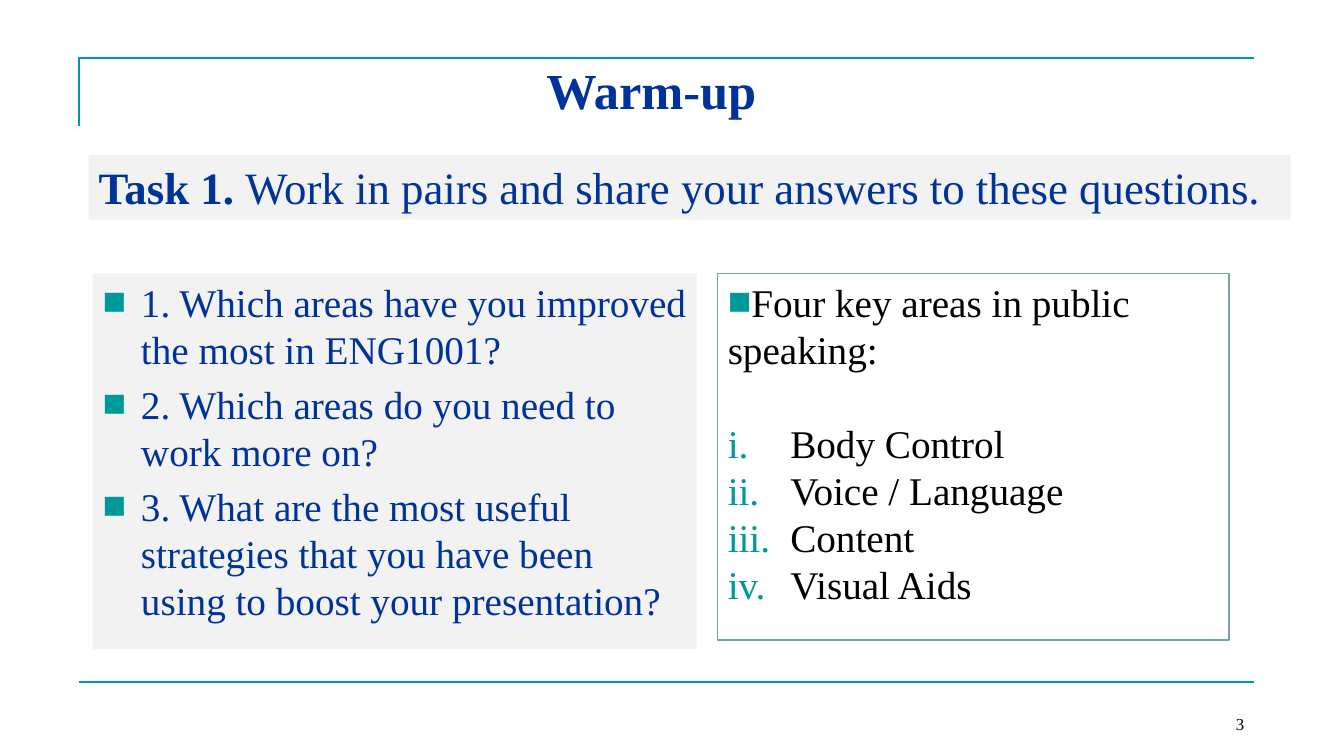
from dataclasses import dataclass
from typing import Optional

from lxml.etree import SubElement
from pptx import Presentation
from pptx.dml.color import RGBColor
from pptx.enum.shapes import MSO_CONNECTOR, MSO_SHAPE
from pptx.enum.text import MSO_ANCHOR, PP_ALIGN
from pptx.oxml.ns import qn
from pptx.util import Inches, Pt

TEAL = RGBColor(0x00, 0x99, 0x99)
BORDER = RGBColor(0x71, 0xA6, 0xA6)
NAVY = RGBColor(0x00, 0x33, 0x99)
BLACK = RGBColor(0x00, 0x00, 0x00)
GREY = RGBColor(0xF2, 0xF2, 0xF2)
FONT = "Times New Roman"
SQUARE = "■"


@dataclass
class Para:
    text: str
    bold_lead: str = ""
    bullet: str = ""  # SQUARE, or an autonumber scheme
    indent: float = 0
    before: float = 0
    align: PP_ALIGN = PP_ALIGN.LEFT


@dataclass
class Panel:
    left: float
    top: float
    width: float
    height: float
    size: int
    color: RGBColor
    paras: list[Para]
    fill: Optional[RGBColor] = None
    line: Optional[RGBColor] = None
    anchor: MSO_ANCHOR = MSO_ANCHOR.TOP


def add_bullet(p, para: Para) -> None:
    pPr = p._p.get_or_add_pPr()
    pPr.set("marL", str(Inches(para.indent)))
    pPr.set("indent", str(-Inches(para.indent)))
    color = SubElement(pPr, qn("a:buClr"))
    SubElement(color, qn("a:srgbClr"), val=str(TEAL))
    SubElement(pPr, qn("a:buFont"), typeface=FONT)
    if para.bullet == SQUARE:
        SubElement(pPr, qn("a:buChar"), char=SQUARE)
    else:
        SubElement(pPr, qn("a:buAutoNum"), type=para.bullet)


def add_panel(s, panel: Panel) -> None:
    sp = s.shapes.add_shape(MSO_SHAPE.RECTANGLE, Inches(panel.left), Inches(panel.top),
                            Inches(panel.width), Inches(panel.height))
    sp.shadow.inherit = False
    if panel.fill is None:
        sp.fill.background()
    else:
        sp.fill.solid()
        sp.fill.fore_color.rgb = panel.fill
    if panel.line is None:
        sp.line.fill.background()
    else:
        sp.line.color.rgb = panel.line
        sp.line.width = Pt(0.75)
    tf = sp.text_frame
    tf.word_wrap = True
    tf.vertical_anchor = panel.anchor
    for i, para in enumerate(panel.paras):
        p = tf.add_paragraph() if i else tf.paragraphs[0]
        p.alignment = para.align
        p.space_before = Pt(para.before)
        if para.bullet:
            add_bullet(p, para)
        for text, bold in ((para.bold_lead, True), (para.text, False)):
            if text:
                r = p.add_run()
                r.text = text
                r.font.name = FONT
                r.font.size = Pt(panel.size)
                r.font.bold = bold
                r.font.color.rgb = panel.color


def add_rules(s) -> None:
    left, right, top = Inches(0.78), Inches(12.44), Inches(0.58)
    fb = s.shapes.build_freeform(left, Inches(1.25))
    fb.add_line_segments([(left, top), (right, top)], close=False)
    corner = fb.convert_to_shape()
    corner.shadow.inherit = False
    corner.fill.background()
    bottom = s.shapes.add_connector(MSO_CONNECTOR.STRAIGHT, left, Inches(6.77),
                                    right, Inches(6.77))
    SubElement(bottom._element.spPr, qn("a:effectLst"))
    for rule in (corner, bottom):
        rule.line.color.rgb = TEAL
        rule.line.width = Pt(1.5)


QUESTIONS = [
    "1. Which areas have you improved the most in ENG1001?",
    "2. Which areas do you need to work more on?",
    "3. What are the most useful strategies that you have been using to boost your presentation?",
]
AREAS = ["Body Control", "Voice / Language", "Content", "Visual Aids"]

PANELS = [
    # Key areas
    Panel(7.12, 2.71, 5.07, 3.64, 28, BLACK,
          [Para("Four key areas in public speaking:", bullet=SQUARE)]
          + [Para(area, bullet="romanLcPeriod", indent=0.62, before=0 if i else 33.6)
             for i, area in enumerate(AREAS)], line=BORDER),
    # Questions
    Panel(0.92, 2.71, 5.99, 3.73, 28, NAVY,
          [Para(question, bullet=SQUARE, indent=0.38, before=5.6 if i else 0)
           for i, question in enumerate(QUESTIONS)], fill=GREY),
    # Slide number
    Panel(9.33, 6.83, 3.11, 0.5, 12, BLACK, [Para("3", align=PP_ALIGN.RIGHT)],
          anchor=MSO_ANCHOR.BOTTOM),
    # Task
    Panel(0.88, 1.54, 11.92, 0.64, 32, NAVY,
          [Para("Work in pairs and share your answers to these questions.",
                bold_lead="Task 1. ")], fill=GREY),
    # Title
    Panel(5.32, 0.54, 6.66, 0.71, 36, NAVY, [Para("", bold_lead="Warm-up")]),
]


def main() -> None:
    prs = Presentation()
    prs.slide_width, prs.slide_height = Inches(13.33), Inches(7.5)
    s = prs.slides.add_slide(prs.slide_layouts[6])
    add_rules(s)
    for panel in PANELS:
        add_panel(s, panel)
    prs.save("out.pptx")


if __name__ == "__main__":
    main()
